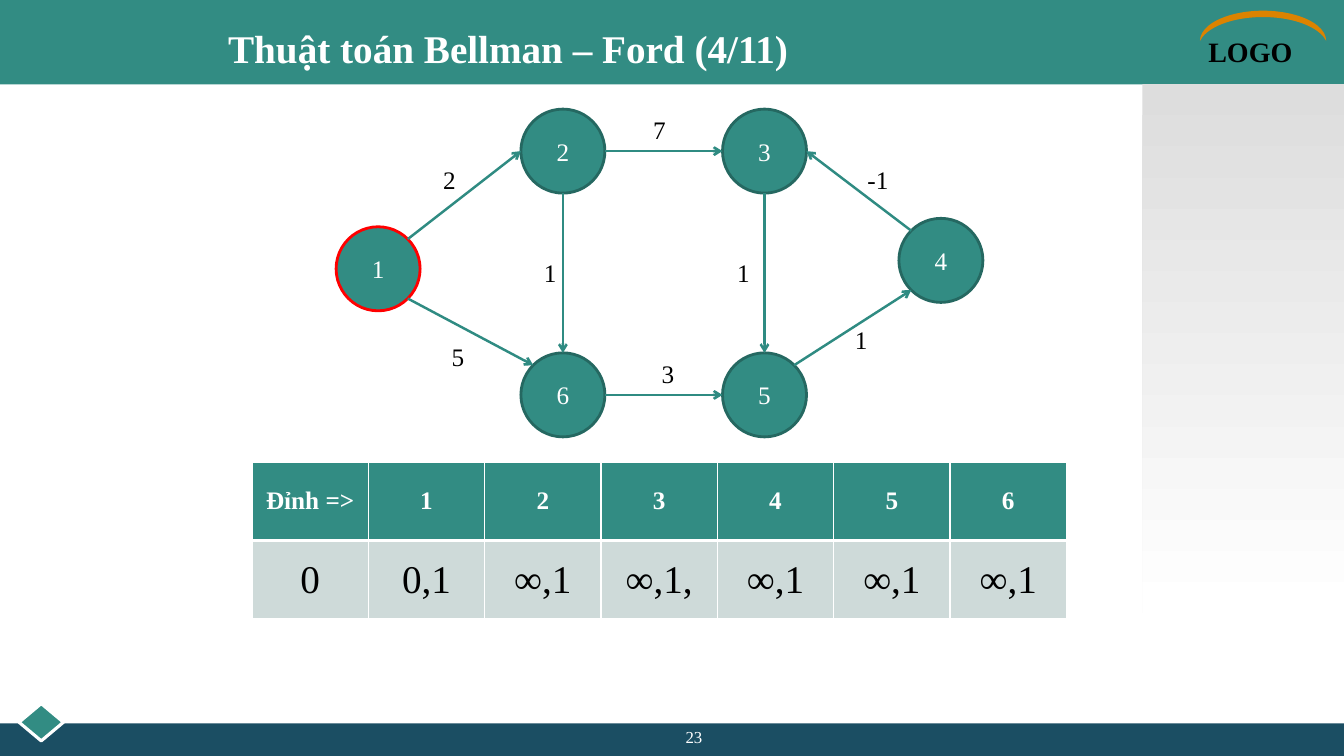
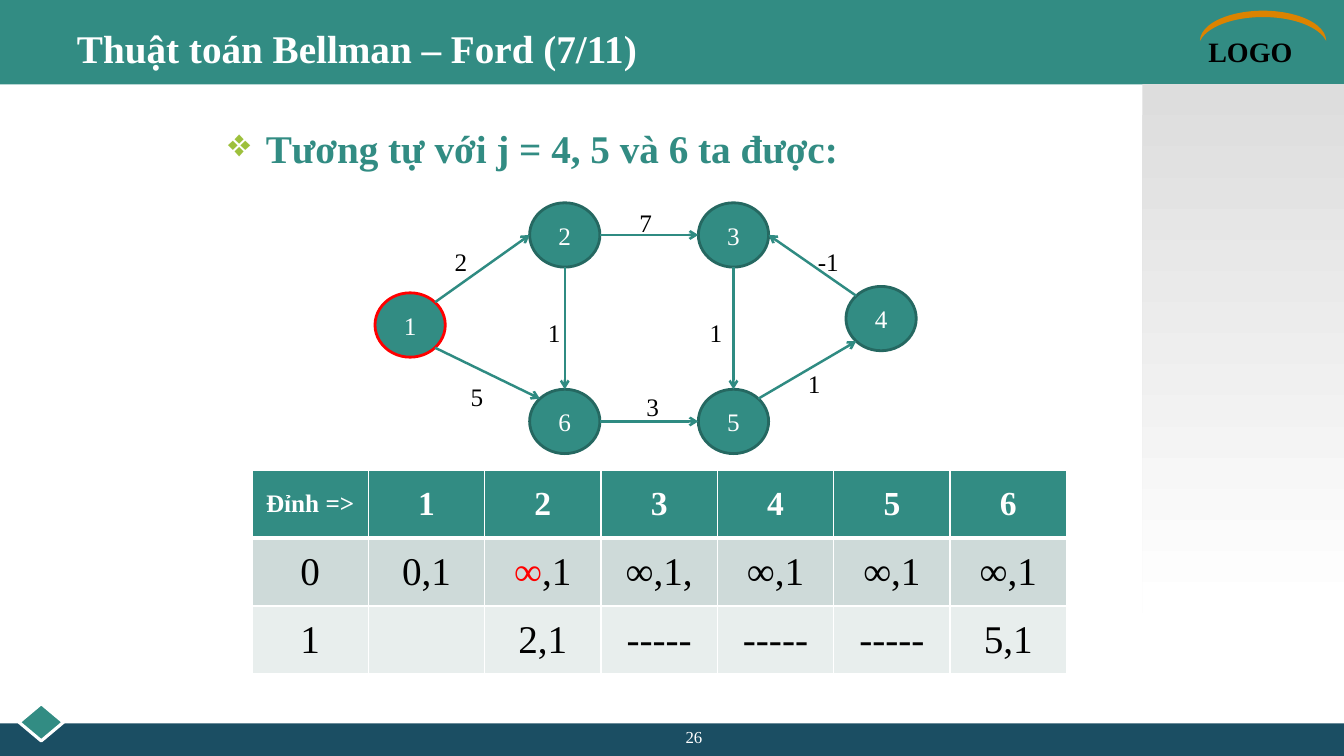
import math

import pptx
import pptx.dml.color
import pptx.enum.dml
import pptx.enum.shapes
import pptx.enum.text
import pptx.oxml
import pptx.oxml.ns
import pptx.util
from lxml import etree

Cm, Pt = pptx.util.Cm, pptx.util.Pt
SHAPE = pptx.enum.shapes.MSO_SHAPE
ALIGN = pptx.enum.text.PP_ALIGN
ANCHOR = pptx.enum.text.MSO_ANCHOR
qn = pptx.oxml.ns.qn

SLIDE_W, SLIDE_H = 33.87, 19.05
TEAL, NAVY, EDGE, RIM = "328C83", "1B4E63", "2F8B82", "256861"
ORANGE, LIME, RED, WHITE, BLACK = "DC8300", "9DC03C", "FF0000", "FFFFFF", "000000"
BODY_FILLS = ["CEDAD9", "E8EEED"]

FONT = "Times New Roman"
TITLE = {"name": FONT, "size": Pt(28), "bold": True}
LOGO = {"name": FONT, "size": Pt(20), "bold": True}
PLAIN = {"name": FONT, "size": Pt(18), "bold": False}
PAGE = {"name": FONT, "size": Pt(12), "bold": False}
CELL = {"name": FONT, "size": Pt(28), "bold": False}

# The graph is laid out on a grid of 77 by 39 units; a vertex is 10 units wide.
GRID_W, GRID_H, VERTEX, WEIGHT_W = 77, 39, 10, 7
VERTICES = {1: (0, 14), 2: (22, 0), 3: (46, 0), 4: (67, 13), 5: (46, 29), 6: (22, 29)}
# (from, site, to, site): sites run counter-clockwise from the top in 45° steps.
EDGES = [(1, 7, 2, 2), (1, 5, 6, 1), (2, 4, 6, 0), (2, 6, 3, 2),
         (3, 4, 5, 0), (6, 6, 5, 2), (5, 7, 4, 3), (4, 1, 3, 6)]
# (from, to): weight and the place of its label
WEIGHTS = {(1, 2): ("2", 10, 6), (2, 6): ("1", 22, 17), (1, 6): ("5", 11, 27),
           (2, 3): ("7", 35, 0), (4, 3): ("-1", 61, 6), (3, 5): ("1", 45, 17),
           (6, 5): ("3", 36, 29), (5, 4): ("1", 59, 25)}

HEADER = ["Đỉnh =>", "1", "2", "3", "4", "5", "6"]


def rgb(colour):
    return pptx.dml.color.RGBColor.from_string(colour)


def apply(target, values):
    for name, value in values.items():
        setattr(target, name, value)


def write(frame, pieces, style, colour, align=ALIGN.LEFT, anchor=ANCHOR.TOP):
    """Fill a text frame with one paragraph; pieces is a text or (text, colour) pairs."""
    apply(frame, {"word_wrap": True, "vertical_anchor": anchor})
    paragraph = frame.paragraphs[0]
    paragraph.alignment = align
    for text, tint in [(pieces, colour)] if isinstance(pieces, str) else pieces:
        run = paragraph.add_run()
        run.text = text
        apply(run.font, style)
        run.font.color.rgb = rgb(tint)
    return paragraph


def add_text(slide, box, text, style, colour, align=ALIGN.LEFT, anchor=ANCHOR.TOP):
    frame = slide.shapes.add_textbox(*map(Cm, box)).text_frame
    return write(frame, text, style, colour, align, anchor)


def add_block(slide, kind, box, fill, line=None, width=2):
    block = slide.shapes.add_shape(kind, *map(Cm, box))
    block.shadow.inherit = False
    block.fill.solid()
    block.fill.fore_color.rgb = rgb(fill)
    if line:
        block.line.color.rgb = rgb(line)
        block.line.width = Pt(width)
    else:
        block.line.fill.background()
    return block


def add_frame(slide, title, title_box, page):
    """Bands, side panel, corner mark, title and page number."""
    add_block(slide, SHAPE.RECTANGLE, (0, 0, SLIDE_W, 2.13), TEAL)
    add_block(slide, SHAPE.RECTANGLE, (0, 18.23, SLIDE_W, 0.82), NAVY)
    add_block(slide, SHAPE.DIAMOND, (0.48, 17.73, 1.12, 0.94), TEAL, WHITE, 2.25)
    add_text(slide, (30.2, 0.74, 3.66, 1.1), "LOGO", LOGO, BLACK)
    arc = add_block(slide, SHAPE.MOON, (31.45, -0.94, 0.76, 3.18), ORANGE)
    arc.rotation = 90
    arc.adjustments[0] = 0.21
    panel = add_block(slide, SHAPE.RECTANGLE, (28.79, 2.12, 5.08, 13.34), WHITE)
    panel.fill.gradient()
    panel.fill.gradient_angle = 270
    for stop, (position, tint) in zip(panel.fill.gradient_stops,
                                      [(0, "DDDDDD"), (1, WHITE)]):
        stop.position = position
        stop.color.rgb = rgb(tint)
    add_text(slide, title_box, title, TITLE, WHITE, anchor=ANCHOR.MIDDLE)
    add_text(slide, (13.54, 18.18, 7.9, 0.66), page, PAGE, WHITE, ALIGN.CENTER)


def add_bullet(slide, box, text):
    paragraph = add_text(slide, box, text, TITLE, TEAL)
    paragraph.space_before = Pt(5.6)
    properties = paragraph._p.get_or_add_pPr()
    properties.set("marL", str(Cm(0.95)))
    properties.set("indent", str(-Cm(0.95)))
    colour = etree.SubElement(properties, qn("a:buClr"))
    etree.SubElement(colour, qn("a:srgbClr"), val=LIME)
    etree.SubElement(properties, qn("a:buChar"), char="❖")


def site_point(vertex, site):
    angle = math.radians(45 * site)
    return (vertex.left + round(vertex.width * (1 - math.sin(angle)) / 2),
            vertex.top + round(vertex.height * (1 - math.cos(angle)) / 2))


def add_edge(slide, start, start_site, end, end_site):
    """Arrow glued to two ellipses, which have eight connection sites each."""
    edge = slide.shapes.add_connector(
        pptx.enum.shapes.MSO_CONNECTOR.STRAIGHT,
        *site_point(start, start_site), *site_point(end, end_site))
    edge.line.color.rgb = rgb(EDGE)
    edge.line.width = Pt(1.75)
    etree.SubElement(edge.line._get_or_add_ln(), qn("a:tailEnd"), type="arrow")
    etree.SubElement(edge._element.spPr, qn("a:effectLst"))
    glue = edge._element.nvCxnSpPr.cNvCxnSpPr
    for tag, vertex, site in [("a:stCxn", start, start_site), ("a:endCxn", end, end_site)]:
        etree.SubElement(glue, qn(tag), id=str(vertex.shape_id), idx=str(site))


def add_graph(slide, box, moved=None):
    """Weighted graph scaled into box; moved replaces single weight labels."""
    left, top, width, height = box
    unit_x, unit_y = width / GRID_W, height / GRID_H
    vertices = {}
    for number, (x, y) in VERTICES.items():
        vertex = add_block(
            slide, SHAPE.OVAL,
            (left + x * unit_x, top + y * unit_y, VERTEX * unit_x, VERTEX * unit_y),
            TEAL, RED if number == 1 else RIM)
        write(vertex.text_frame, str(number), PLAIN, WHITE, ALIGN.CENTER, ANCHOR.MIDDLE)
        vertices[number] = vertex
    for start, start_site, end, end_site in EDGES:
        add_edge(slide, vertices[start], start_site, vertices[end], end_site)
    for weight, x, y in {**WEIGHTS, **(moved or {})}.values():
        add_text(slide, (left + x * unit_x, top + y * unit_y, WEIGHT_W * unit_x, 1.02),
                 weight, PLAIN, BLACK, ALIGN.CENTER)


def set_borders(cell, widths):
    properties = cell._tc.get_or_add_tcPr()
    for side, width in widths.items():
        border = etree.SubElement(properties, qn("a:ln" + side), w=str(Pt(width)))
        fill = etree.SubElement(border, qn("a:solidFill"))
        etree.SubElement(fill, qn("a:srgbClr"), val=WHITE)


def add_steps(slide, box, steps, number_size):
    """Table of the labels at each step; number_size is for the vertex numbers on top."""
    rows = [HEADER] + steps
    table = slide.shapes.add_table(len(rows), len(HEADER), *map(Cm, box)).table
    for column in table.columns:
        column.width = Cm(box[2] / len(HEADER))
    for r, row in enumerate(rows):
        table.rows[r].height = Cm(box[3] / len(rows))
        for c, value in enumerate(row):
            cell = table.cell(r, c)
            set_borders(cell, {"L": 1, "R": 1, "T": 3 if r == 1 else 1,
                               "B": 3 if r == 0 else 1})
            cell.fill.solid()
            cell.fill.fore_color.rgb = rgb(BODY_FILLS[(r - 1) % 2] if r else TEAL)
            cell.vertical_anchor = ANCHOR.MIDDLE
            style = CELL if r else {**PLAIN, "bold": True,
                                    "size": Pt(number_size if c else 18)}
            if value:
                write(cell.text_frame, value, style, BLACK if r else WHITE,
                      ALIGN.CENTER, ANCHOR.MIDDLE)


def build_start(slide):
    add_frame(slide, "Thuật toán Bellman – Ford (4/11)", (5.5, 0.42, 22.86, 1.59), "23")
    add_graph(slide, (8.47, 2.75, 16.3, 8.26))
    add_steps(slide, (6.35, 11.64, 20.53, 3.96),
              [["0", "0,1", "∞,1", "∞,1,", "∞,1", "∞,1", "∞,1"]], 18)


def build_first_step(slide):
    add_frame(slide, "Thuật toán Bellman – Ford (7/11)", (1.69, 0.42, 30.48, 1.59), "26")
    add_bullet(slide, (5.5, 3, 22.86, 1.45), "Tương tự với j = 4, 5 và 6 ta được:")
    add_graph(slide, (9.45, 5.11, 13.64, 6.32),
              {(1, 2): ("2", 8.75, 6), (6, 5): ("3", 36, 28.5)})
    add_steps(slide, (6.35, 11.85, 20.53, 5.13),
              [["0", "0,1", [("∞", RED), (",1", BLACK)], "∞,1,", "∞,1", "∞,1", "∞,1"],
               ["1", "", "2,1", "-----", "-----", "-----", "5,1"]], 24)


def main():
    deck = pptx.Presentation()
    apply(deck, {"slide_width": Cm(SLIDE_W), "slide_height": Cm(SLIDE_H)})
    for build in (build_start, build_first_step):
        build(deck.slides.add_slide(deck.slide_layouts[6]))
    deck.save("out.pptx")


if __name__ == "__main__":
    main()
